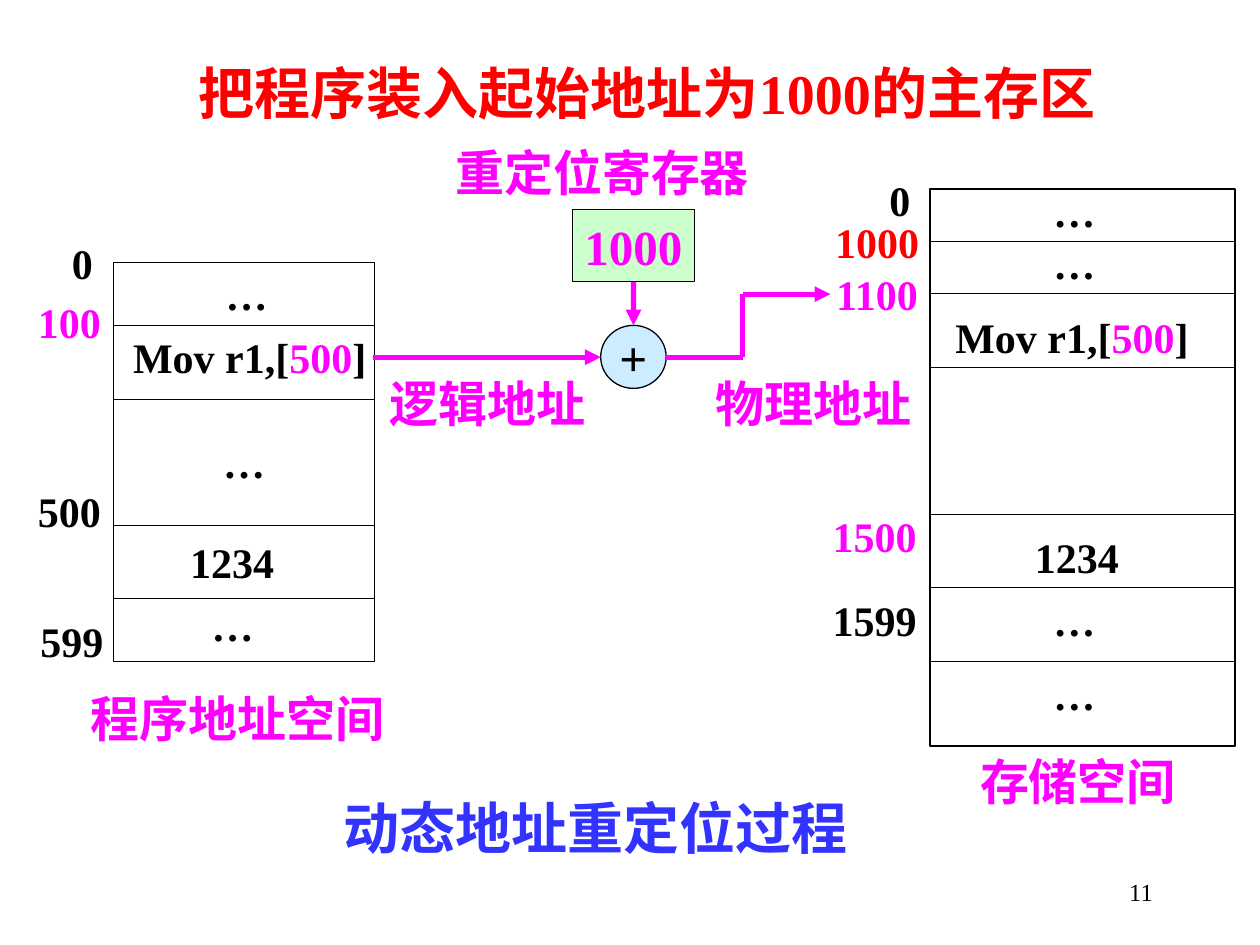
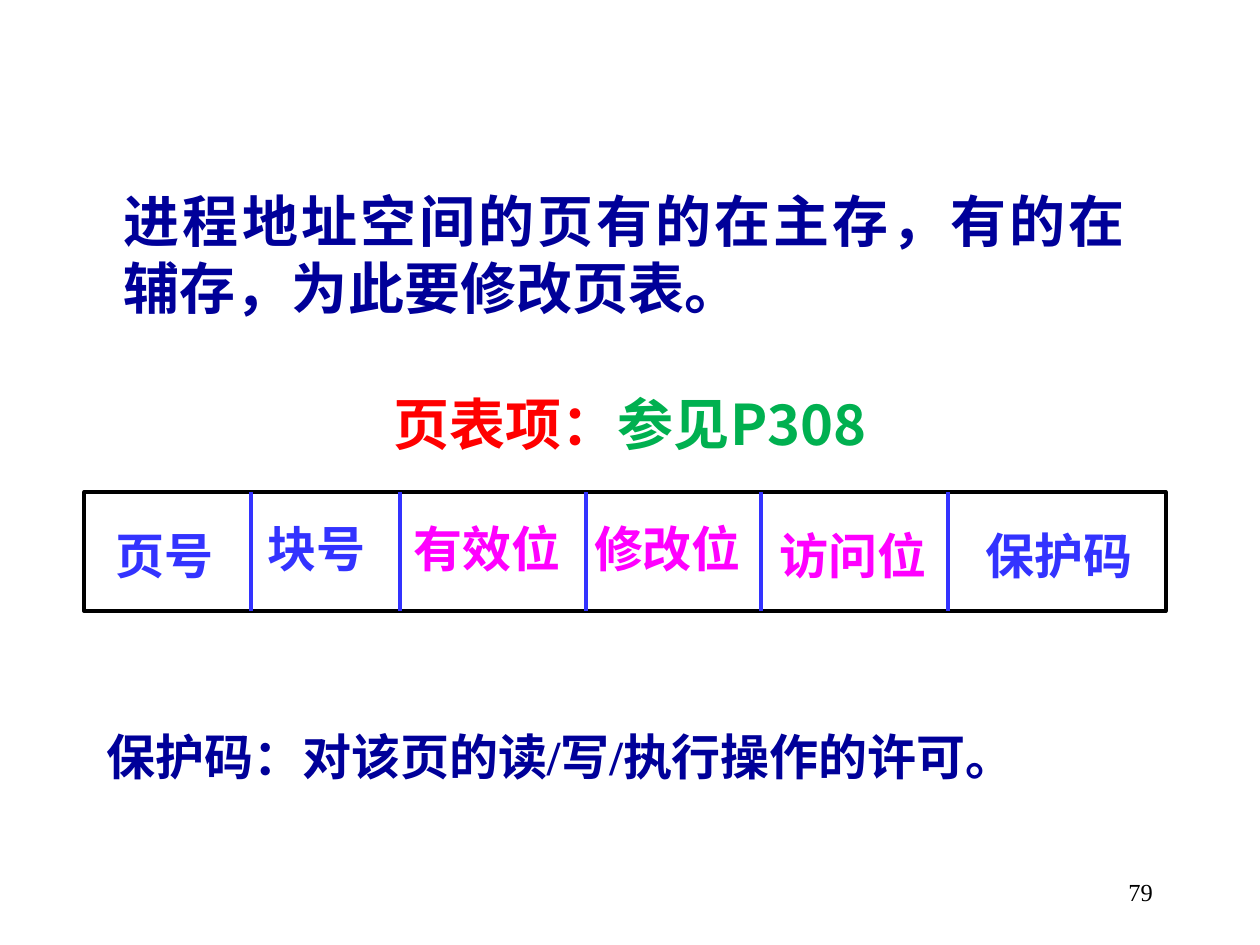
from dataclasses import dataclass
from typing import NamedTuple

from lxml import etree
from pptx import Presentation
from pptx import util as u
from pptx.dml.color import RGBColor
from pptx.enum import shapes, text
from pptx.oxml.ns import qn

LATIN, CHINESE = "Times New Roman", "Noto Sans CJK SC"
BLACK, WHITE, RED, MAGENTA = "000000", "FFFFFF", "FF0000", "FF00FF"
BLUE, NAVY, GREEN = "3333FF", "000099", "00B050"
REGISTER_FILL, ADDER_FILL = "CCFFCC", "CCECFF"
LINE_HEIGHTS = {14: 1.27, 24: 1.27, 28: 1.45, 32: 1.63}
CENTER = text.PP_ALIGN.CENTER


class Span(NamedTuple):
    text: str
    color: str = BLACK


class Frame(NamedTuple):
    """Left, top, width and height in centimetres."""
    left: float
    top: float
    width: float
    height: float


@dataclass
class Label:
    """A text box whose height follows from its text size."""
    spans: list[Span]
    left: float
    top: float
    width: float
    size: int = 24
    font: str = LATIN
    bold: bool = True
    align: text.PP_ALIGN = CENTER
    side_inset: float = 0.25
    edge_inset: float = 0.13
    wrap: bool = False
    height: float = 0


@dataclass
class MemorySpace:
    frame: Frame
    dividers: list[float]
    labels: list[Label]


def rgb(color: str) -> RGBColor:
    return RGBColor.from_string(color)


def write(frame, spans: list[Span], size: int, font: str = LATIN,
          bold: bool = True, align=CENTER) -> None:
    paragraph = frame.paragraphs[0]
    paragraph.text = spans[0].text
    for span in spans[1:]:
        paragraph.add_run().text = span.text
    paragraph.alignment = align
    for run, span in zip(paragraph.runs, spans):
        run.font.size = u.Pt(size)
        run.font.bold = bold
        run.font.color.rgb = rgb(span.color)
        run.font.name = font
        east_asian = etree.SubElement(run.font._element, qn("a:ea"))
        east_asian.set("typeface", CHINESE)


def set_insets(frame, side: float = 0.25, edge: float = 0.13) -> None:
    frame.margin_left = frame.margin_right = u.Cm(side)
    frame.margin_top = frame.margin_bottom = u.Cm(edge)


def add_label(slide, label: Label):
    height = label.height or LINE_HEIGHTS[label.size]
    box = slide.shapes.add_textbox(u.Cm(label.left), u.Cm(label.top),
                                   u.Cm(label.width), u.Cm(height))
    frame = box.text_frame
    frame.word_wrap = label.wrap
    if not label.wrap:
        frame.auto_size = text.MSO_AUTO_SIZE.SHAPE_TO_FIT_TEXT
    set_insets(frame, label.side_inset, label.edge_inset)
    write(frame, label.spans, label.size, label.font, label.bold, label.align)
    return box


def add_box(slide, frame: Frame, fill: str = WHITE, line: str = BLACK,
            weight: float = 0.75, kind=shapes.MSO_SHAPE.RECTANGLE):
    box = slide.shapes.add_shape(kind, *(u.Cm(length) for length in frame))
    box.shadow.inherit = False
    box.fill.solid()
    box.fill.fore_color.rgb = rgb(fill)
    box.line.color.rgb = rgb(line)
    box.line.width = u.Pt(weight)
    box.text_frame.word_wrap = False
    set_insets(box.text_frame)
    return box


def add_line(slide, x1: float, y1: float, x2: float, y2: float,
             color: str = BLACK, weight: float = 0.75, arrow: bool = False):
    line = slide.shapes.add_connector(shapes.MSO_CONNECTOR.STRAIGHT,
                                      u.Cm(x1), u.Cm(y1), u.Cm(x2), u.Cm(y2))
    line.line.color.rgb = rgb(color)
    line.line.width = u.Pt(weight)
    if arrow:
        etree.SubElement(line.line._get_or_add_ln(), qn("a:tailEnd"), type="triangle")
    etree.SubElement(line._element.spPr, qn("a:effectLst"))
    return line


def add_memory_space(slide, space: MemorySpace):
    left, _, width, _ = space.frame
    box = add_box(slide, space.frame)
    for y in space.dividers:
        add_line(slide, left, y, left + width, y)
    for label in space.labels:
        add_label(slide, label)
    return box


def add_page(deck, number: int):
    """Add a blank slide with its page number."""
    slide = deck.slides.add_slide(deck.slide_layouts[6])
    page_number = add_label(slide, Label([Span(str(number))], 18.21, 17.35, 5.28, size=14,
                                         bold=False, align=text.PP_ALIGN.RIGHT, wrap=True))
    page_number.text_frame.vertical_anchor = text.MSO_ANCHOR.MIDDLE
    return slide


def address(value: str, left: float, top: float, color: str = BLACK) -> Label:
    return Label([Span(value, color)], left, top, 0.6 + 0.42 * len(value))


def ellipsis(left: float, top: float) -> Label:
    return Label([Span("…")], left, top, 1.36)


def instruction(left: float, top: float, width: float) -> Label:
    return Label([Span("Mov r1,["), Span("500", MAGENTA), Span("]")], left, top, width)


def caption(name: str, left: float, top: float) -> Label:
    return Label([Span(name, MAGENTA)], left, top, 0.99 * len(name), size=28, side_inset=0)


PROGRAM_SPACE = MemorySpace(
    Frame(2.29, 5.29, 5.26, 8.05),
    [6.56, 8.05, 10.59, 12.07],
    [
        instruction(2.29, 6.55, 5.49),
        ellipsis(4.29, 5.28),
        Label([Span("1234")], 3.54, 10.69, 2.28),
        ellipsis(4.01, 11.96),
        address("0", 1.15, 4.65),
        address("100", 0.47, 5.84, MAGENTA),
        address("500", 0.47, 9.65),
        address("599", 0.52, 12.27),
    ],
)

MAIN_MEMORY = MemorySpace(
    Frame(18.75, 3.81, 6.15, 11.23),
    [4.87, 5.92, 7.41, 10.37, 11.85, 13.33],
    [
        instruction(18.75, 6.15, 5.72),
        Label([Span("1234")], 20.29, 10.59, 2.84),
        *(ellipsis(20.98, top) for top in (3.61, 4.65, 11.86, 13.34)),
        address("0", 17.63, 3.38),
        address("1000", 16.54, 4.24, RED),
        address("1100", 16.54, 5.28, MAGENTA),
        address("1500", 16.49, 10.16, MAGENTA),
        address("1599", 16.49, 11.86),
    ],
)

CAPTIONS = [
    caption("程序地址空间", 1.82, 13.76),
    caption("存储空间", 19.75, 15.03),
    caption("重定位寄存器", 9.17, 2.74),
    caption("逻辑地址", 7.84, 7.41),
    caption("物理地址", 14.42, 7.41),
]


def build_relocation(deck) -> None:
    slide = add_page(deck, 11)
    title = add_box(slide, Frame(3.39, 1.06, 19.3, 1.63), line=WHITE)
    title.text_frame.vertical_anchor = text.MSO_ANCHOR.TOP
    write(title.text_frame, [Span("把程序装入起始地址为1000的主存区", RED)], 32)

    program = add_memory_space(slide, PROGRAM_SPACE)
    program.text_frame.vertical_anchor = text.MSO_ANCHOR.MIDDLE
    write(program.text_frame, [Span("…")], 24)
    add_memory_space(slide, MAIN_MEMORY)

    register = add_box(slide, Frame(11.54, 4.23, 2.46, 1.45), REGISTER_FILL)
    register.text_frame.vertical_anchor = text.MSO_ANCHOR.TOP
    write(register.text_frame, [Span("1000", MAGENTA)], 28)
    adder = add_box(slide, Frame(12.11, 6.56, 1.32, 1.27), ADDER_FILL,
                    kind=shapes.MSO_SHAPE.OVAL)
    write(adder.text_frame, [Span("+")], 28)

    base_address = add_line(slide, 12.77, 5.68, 12.77, 6.56, MAGENTA, 3, arrow=True)
    base_address.begin_connect(register, 2)
    base_address.end_connect(adder, 0)
    bend, flow_y, target_y = 14.97, 7.2, 5.93
    add_line(slide, 7.52, flow_y, 12.11, flow_y, MAGENTA, 3, arrow=True)
    add_line(slide, 13.43, flow_y, bend, flow_y, MAGENTA, 3)
    add_line(slide, bend, target_y, bend, flow_y, MAGENTA, 3)
    add_line(slide, bend, target_y, 16.74, target_y, MAGENTA, 3, arrow=True)

    for label in CAPTIONS:
        add_label(slide, label)
    add_label(slide, Label([Span("动态地址重定位过程", BLUE)], 6.12, 15.87, 11.79,
                           size=32, wrap=True))


PAGE_FIELDS = [
    Label([Span(name, color)], left, top, width, size=28, wrap=True)
    for name, color, left, top, width in (
        ("页号", BLUE, 1.91, 10.46, 2.82),
        ("块号", BLUE, 4.9, 10.32, 2.97),
        ("有效位", MAGENTA, 7.7, 10.32, 4.24),
        ("修改位", MAGENTA, 11.5, 10.32, 3.91),
        ("访问位", MAGENTA, 15.31, 10.46, 3.78),
        ("保护码", BLUE, 18.98, 10.46, 4.72),
    )
]


def build_page_table(deck) -> None:
    slide = add_page(deck, 79)
    entry = Frame(1.7, 9.92, 21.8, 2.4)
    add_box(slide, entry, weight=2.25)
    for x in (5.06, 8.06, 11.81, 15.35, 19.11):
        add_line(slide, x, entry.top, x, entry.top + entry.height, BLUE, 2.25)
    for field in PAGE_FIELDS:
        add_label(slide, field)

    add_label(slide, Label([Span("页表项：", RED), Span("参见P308", GREEN)],
                           5.1, 7.72, 15.21, size=32, font=CHINESE, wrap=True))
    add_label(slide, Label(
        [Span("进程地址空间的页有的在主存，有的在辅存，为此要修改页表。", NAVY)],
        2.5, 3.73, 20.19, size=32, font=CHINESE, align=text.PP_ALIGN.JUSTIFY,
        side_inset=0, edge_inset=0.03, wrap=True, height=2.77))
    add_label(slide, Label([Span("保护码：对该页的读/写/执行操作的许可。", NAVY)],
                           1.9, 14.52, 22.81, size=28, align=text.PP_ALIGN.LEFT, wrap=True))


def main() -> None:
    deck = Presentation()
    deck.slide_width, deck.slide_height = u.Cm(25.4), u.Cm(19.05)
    build_relocation(deck)
    build_page_table(deck)
    deck.save("out.pptx")


if __name__ == "__main__":
    main()
